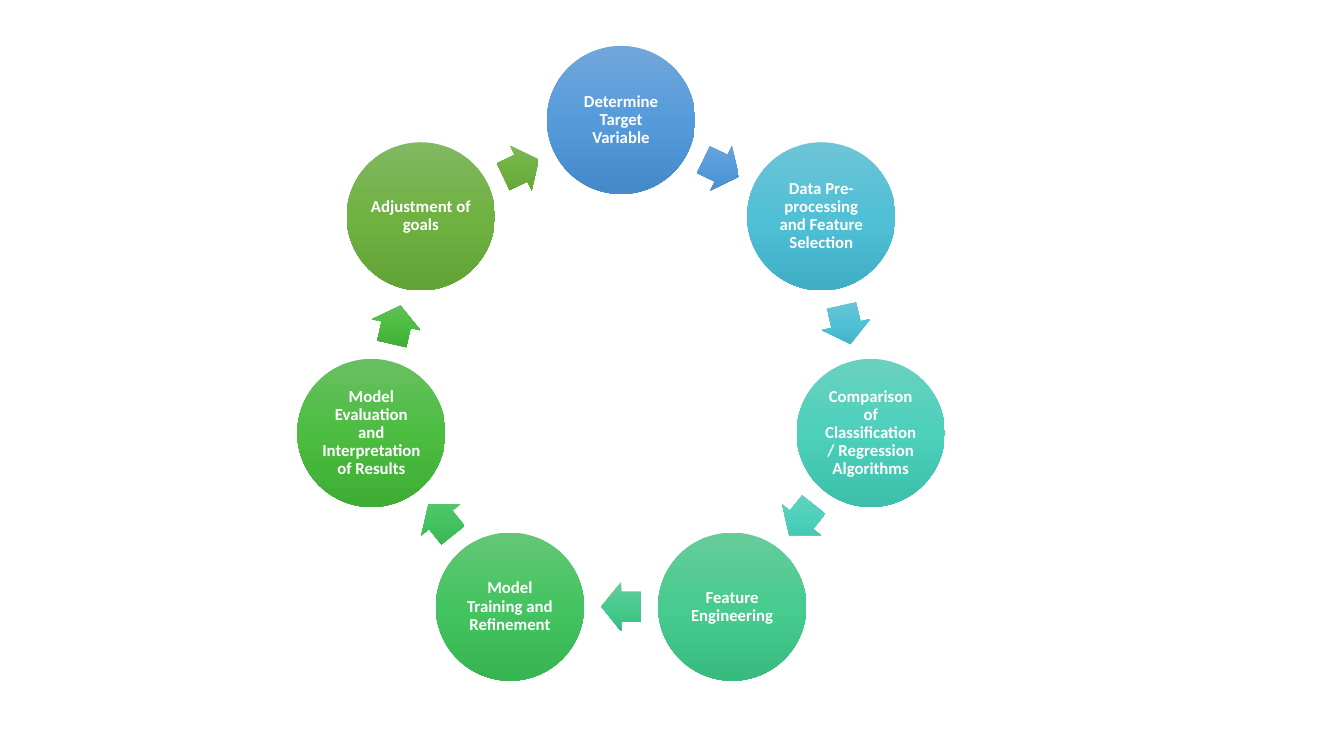
import copy
import math

import pptx
import pptx.dml.color
import pptx.enum.shapes
import pptx.enum.text
import pptx.oxml.ns
import pptx.util

Inches = pptx.util.Inches
Shapes = pptx.enum.shapes.MSO_SHAPE

STEPS = [
    ("Determine Target Variable", "blue"),
    ("Data Pre-processing and Feature Selection", "cyan"),
    ("Comparison of Classification / Regression Algorithms", "turquoise"),
    ("Feature Engineering", "mint"),
    ("Model Training and Refinement", "emerald"),
    ("Model Evaluation and Interpretation of Results", "green"),
    ("Adjustment of goals", "olive"),
]
COLOURS = {
    "blue": ("71A6DB", "559BDB", "448ACA"),
    "cyan": ("6EC4D6", "50C0D6", "40AFC5"),
    "turquoise": ("6AD1C0", "4CD0BC", "3CC0AC"),
    "mint": ("67CC9A", "47CB8E", "39BB7F"),
    "emerald": ("64C677", "44C460", "36B552"),
    "green": ("69C062", "4CBD41", "3FAD34"),
    "olive": ("81B861", "6FB242", "62A336"),
    "text": "FFFFFF",
}
CENTRE_X, CENTRE_Y, RING_RADIUS = 6.16, 3.73, 2.54
CIRCLE_SIZE = 1.47
ARROW_WIDTH, ARROW_HEIGHT = 0.39, 0.49
TEXT_MARGIN = 0.02


def add_gradient_shape(slide, kind, centre, width, height, colours):
    x, y = centre
    shape = slide.shapes.add_shape(
        kind, Inches(x - width / 2), Inches(y - height / 2), Inches(width), Inches(height)
    )
    shape.shadow.inherit = False
    shape.line.fill.background()
    shape.fill.gradient()
    shape.fill.gradient_angle = 270
    gradient = shape._element.spPr.find(pptx.oxml.ns.qn("a:gradFill"))
    gradient.set("rotWithShape", "0")
    stop_list = gradient.find(pptx.oxml.ns.qn("a:gsLst"))
    stop_list.insert(1, copy.deepcopy(stop_list[0]))
    for stop, position, colour in zip(shape.fill.gradient_stops, (0, 0.5, 1), colours):
        stop.position = position
        stop.color.rgb = pptx.dml.color.RGBColor.from_string(colour)
    return shape


def add_step(slide, centre, label, colours):
    circle = add_gradient_shape(slide, Shapes.OVAL, centre, CIRCLE_SIZE, CIRCLE_SIZE, colours)
    frame = circle.text_frame
    frame.word_wrap = True
    frame.vertical_anchor = pptx.enum.text.MSO_ANCHOR.MIDDLE
    frame.margin_left = frame.margin_right = Inches(TEXT_MARGIN)
    frame.margin_top = frame.margin_bottom = Inches(TEXT_MARGIN)
    paragraph = frame.paragraphs[0]
    paragraph.text = label
    paragraph.alignment = pptx.enum.text.PP_ALIGN.CENTER
    paragraph.line_spacing = 0.9
    paragraph.font.name = "Calibri"
    paragraph.font.size = pptx.util.Pt(12)
    paragraph.font.bold = True
    paragraph.font.color.rgb = pptx.dml.color.RGBColor.from_string(COLOURS["text"])


def add_arrow(slide, centre, rotation, colours):
    arrow = add_gradient_shape(
        slide, Shapes.RIGHT_ARROW, centre, ARROW_WIDTH, ARROW_HEIGHT, colours
    )
    arrow.adjustments[0] = 0.6
    arrow.adjustments[1] = 0.5
    arrow.rotation = rotation


def ring_point(angle, radius):
    radians = math.radians(angle)
    return CENTRE_X + radius * math.sin(radians), CENTRE_Y - radius * math.cos(radians)


def main():
    presentation = pptx.Presentation()
    presentation.slide_width = Inches(13.33)
    presentation.slide_height = Inches(7.5)
    slide = presentation.slides.add_slide(presentation.slide_layouts[6])

    step_angle = 360 / len(STEPS)
    arrow_radius = RING_RADIUS * math.cos(math.radians(step_angle / 2))
    for index, (label, colour) in enumerate(STEPS):
        circle_angle = index * step_angle
        arrow_angle = circle_angle + step_angle / 2
        add_step(slide, ring_point(circle_angle, RING_RADIUS), label, COLOURS[colour])
        add_arrow(slide, ring_point(arrow_angle, arrow_radius), arrow_angle, COLOURS[colour])

    presentation.save("out.pptx")


if __name__ == "__main__":
    main()
